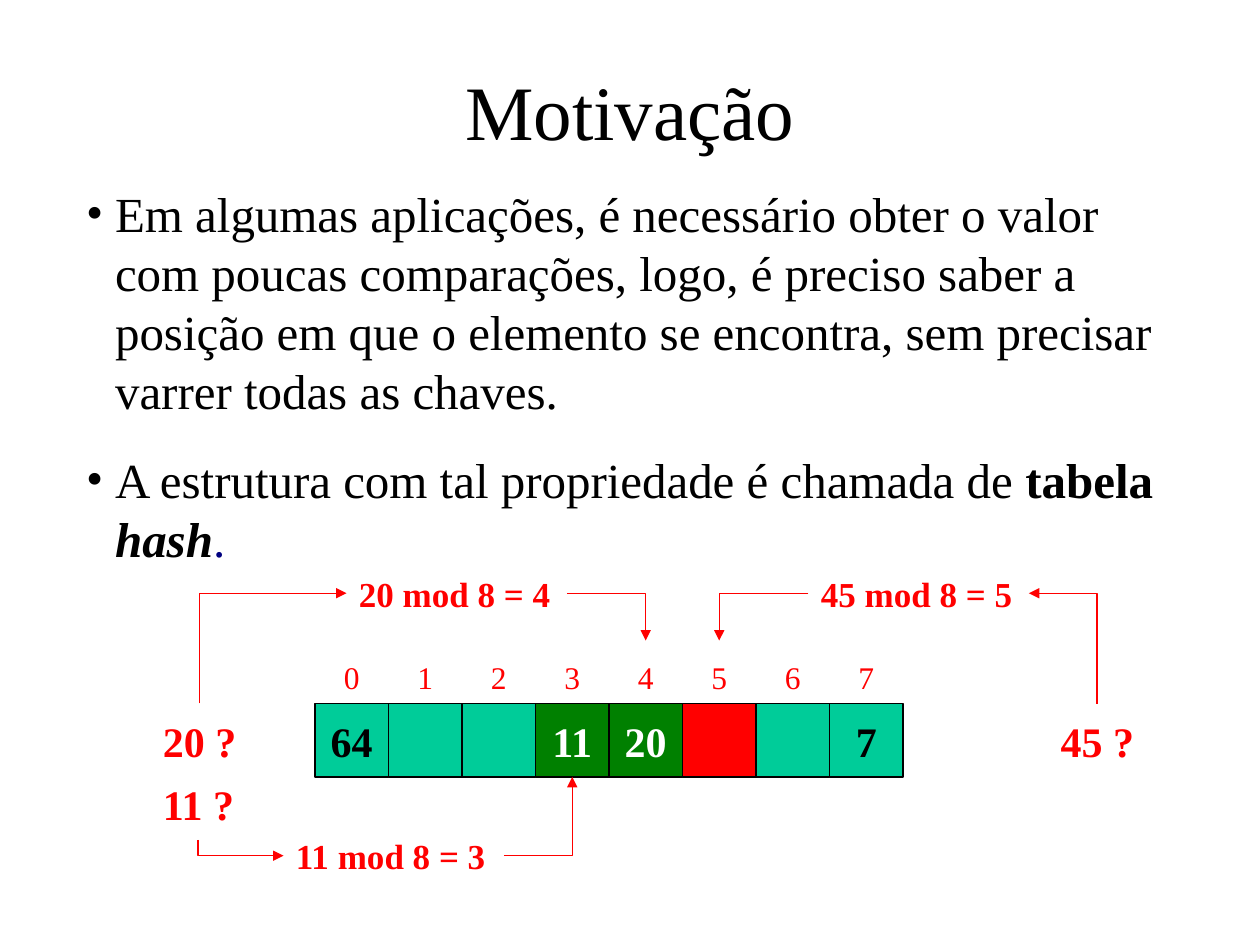
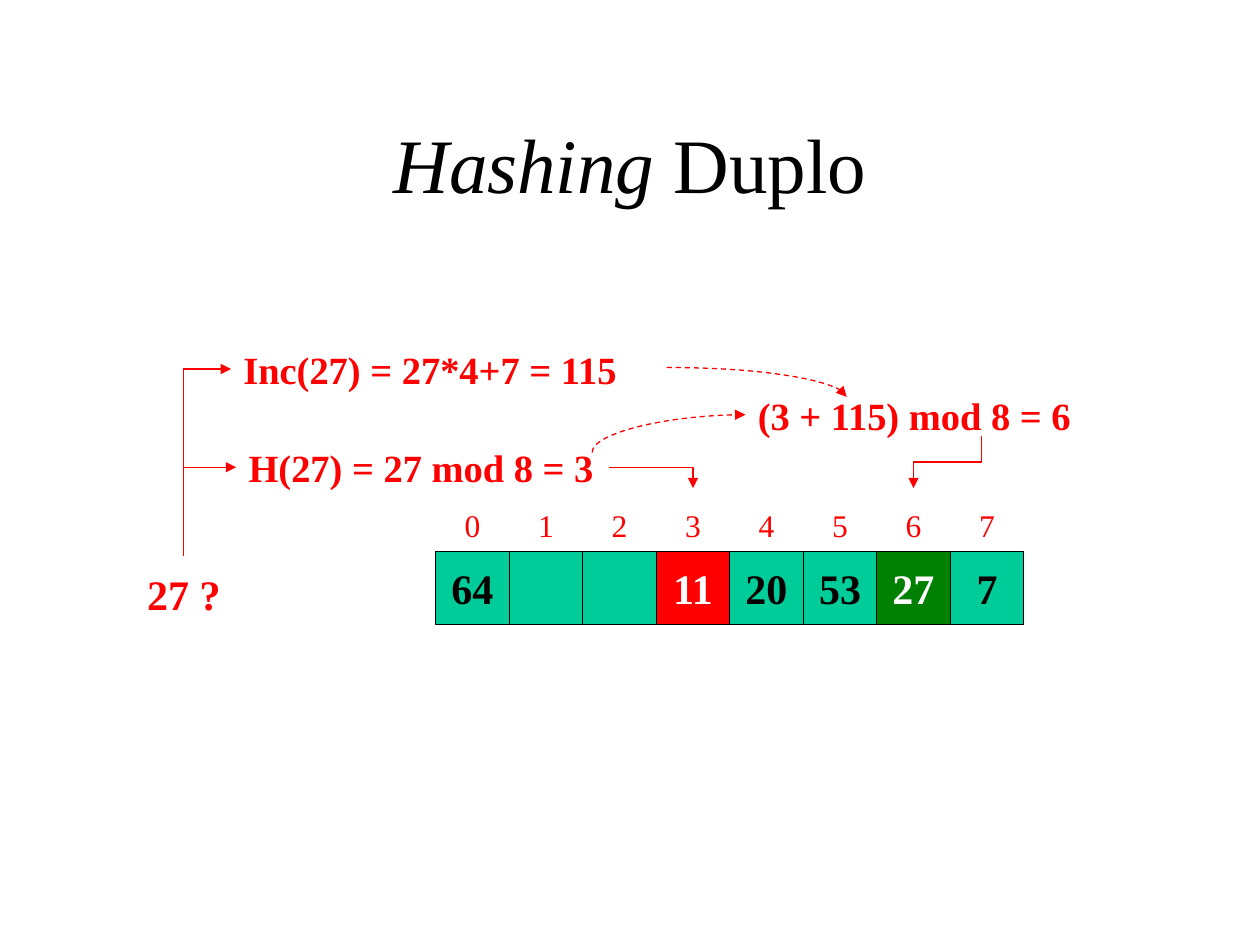
from lxml.etree import SubElement
from pptx import Presentation
from pptx.dml.color import RGBColor
from pptx.enum.dml import MSO_LINE
from pptx.enum.shapes import MSO_CONNECTOR, MSO_SHAPE
from pptx.enum.text import MSO_ANCHOR, MSO_AUTO_SIZE, PP_ALIGN
from pptx.oxml.ns import qn
from pptx.util import Inches, Pt

FONT = "Times New Roman"
COLORS = {"black": "000000", "white": "FFFFFF", "red": "FF0000",
          "free": "00CC99", "found": "008000", "navy": "000080"}

deck = Presentation()
deck.slide_width, deck.slide_height = Inches(10), Inches(7.5)

# Grid of 240 columns by 180 rows; a hash table cell is 14 units wide
UNIT = deck.slide_width / 240
CELL = 14


def write(para, text, size=28, color="black", bold=False, italic=False, align=None):
    """Add a formatted span to a paragraph."""
    if align is not None:
        para.alignment = align
    span = para.add_run()
    span.text = text
    span.font.name, span.font.size = FONT, Pt(size)
    span.font.bold, span.font.italic = bold, italic
    span.font.color.rgb = RGBColor.from_string(COLORS[color])


def draw_arrow(page, start, end, preset="bentConnector2", vertical=False, dashed=False):
    """Join two grid points; a vertical start is a quarter turn of a horizontal one."""
    (x1, y1), (x2, y2) = start, end
    if vertical:
        middle_x, middle_y = (x1 + x2) / 2, (y1 + y2) / 2
        half_x, half_y = (y2 - y1) / 2, (x1 - x2) / 2
        x1, x2 = middle_x - half_x, middle_x + half_x
        y1, y2 = middle_y - half_y, middle_y + half_y
    arrow = page.shapes.add_connector(
        MSO_CONNECTOR.ELBOW, *(round(value * UNIT) for value in (x1, y1, x2, y2)))
    arrow.line.color.rgb = RGBColor.from_string(COLORS["red"])
    arrow.line.width = Pt(0.75)
    if dashed:
        arrow.line.dash_style = MSO_LINE.DASH
    properties = arrow._element.spPr
    properties.find(qn("a:prstGeom")).set("prst", preset)
    if vertical:
        properties.find(qn("a:xfrm")).set("rot", str(90 * 60000))
    SubElement(properties.find(qn("a:ln")), qn("a:tailEnd"), type="triangle")
    SubElement(properties, qn("a:effectLst"))


# Content: labels are (text, column, row, width, size), all 14 rows high
pages = [
    {"layout": 1, "title": [("Motivação", False)], "title_row": 6,
     "table": (60, 134),
     "cells": ["64", "", "", "11", "20", "", "", "7"],
     "marked": {3: "found", 4: "found", 5: "red"},
     "labels": [("20 ?", 29, 134, 18, 24), ("45 ?", 200, 134, 18, 24),
                ("11 ?", 28.8, 146, 18, 24), ("20 mod 8 = 4", 66, 106, 42, 20),
                ("45 mod 8 = 5", 154, 106, 42, 20), ("11 mod 8 = 3", 54, 156, 42, 20)],
     "arrows": [dict(start=(108, 113), end=(123, 122)),
                dict(start=(38, 134), end=(66, 113), vertical=True),
                dict(start=(209, 134), end=(196, 113), vertical=True),
                dict(start=(154, 113), end=(137, 122)),
                dict(start=(96, 163), end=(109, 148)),
                dict(start=(37.7, 160), end=(54, 163), vertical=True)]},
    {"layout": 5, "title": [("Hashing", True), (" Duplo", False)], "title_row": 16,
     "table": (83, 105),
     "cells": ["64", "", "", "11", "20", "53", "27", "7"],
     "marked": {3: "red", 6: "found"},
     "labels": [("27 ?", 26, 106, 18, 24), ("H(27) = 27 mod 8 = 3", 45, 82, 71, 22),
                ("Inc(27) = 27*4+7 = 115", 44, 63.4, 76.4, 22),
                ("(3 + 115) mod 8 = 6", 142, 72, 64, 22)],
     "arrows": [dict(start=(35, 106), end=(45, 89), vertical=True),
                dict(start=(116, 89), end=(132, 93)),
                dict(start=(187, 83), end=(174, 93), preset="bentConnector3", vertical=True),
                dict(start=(35, 106), end=(44, 70.3), vertical=True),
                dict(start=(112.8, 86.2), end=(142, 79), preset="curvedConnector2",
                     vertical=True, dashed=True),
                dict(start=(127, 70), end=(161.3, 75.6), preset="curvedConnector2",
                     dashed=True)]},
]

bullets = [
    [("Em algumas aplicações, é necessário obter o valor com poucas comparações, logo, "
      "é preciso saber a posição em que o elemento se encontra, sem precisar varrer "
      "todas as chaves.", {})],
    [("A estrutura com tal propriedade é chamada de ", {}), ("tabela ", {"bold": True}),
     ("hash", {"bold": True, "italic": True}), (".", {"color": "navy"})],
]

for content in pages:
    page = deck.slides.add_slide(deck.slide_layouts[content["layout"]])

    # Title
    title = page.shapes.title
    title.left, title.top = round(18 * UNIT), round(content["title_row"] * UNIT)
    title.width, title.height = round(204 * UNIT), round(29.8 * UNIT)
    title.text_frame.vertical_anchor = MSO_ANCHOR.MIDDLE
    title.text_frame.auto_size = MSO_AUTO_SIZE.NONE
    for text, italic in content["title"]:
        write(title.text_frame.paragraphs[0], text, size=44, italic=italic,
              align=PP_ALIGN.CENTER)

    # Hash table: index above each cell
    left, top = content["table"]
    labels = list(content["labels"])
    for index, value in enumerate(content["cells"]):
        column = left + index * CELL
        labels.append((str(index), column, top - 12, CELL, 18))
        cell = page.shapes.add_shape(
            MSO_SHAPE.RECTANGLE, round(column * UNIT), round(top * UNIT),
            round(CELL * UNIT), round(CELL * UNIT))
        cell.shadow.inherit = False
        cell.fill.solid()
        cell.fill.fore_color.rgb = RGBColor.from_string(
            COLORS[content["marked"].get(index, "free")])
        cell.line.color.rgb = RGBColor.from_string(COLORS["black"])
        cell.line.width = Pt(0.75)
        if value:
            cell.text_frame.word_wrap = False
            cell.text_frame.vertical_anchor = MSO_ANCHOR.MIDDLE
            write(cell.text_frame.paragraphs[0], value, size=24, bold=True,
                  color="white" if index in content["marked"] else "black",
                  align=PP_ALIGN.CENTER)

    # Keys and indexes are centred, formulas are left aligned
    for text, column, row, width, size in labels:
        is_formula = "=" in text
        box = page.shapes.add_textbox(round(column * UNIT), round(row * UNIT),
                                      round(width * UNIT), round(CELL * UNIT))
        box.text_frame.word_wrap = False
        box.text_frame.vertical_anchor = MSO_ANCHOR.MIDDLE
        box.text_frame.margin_left = Inches(0.1 if is_formula else 0)
        box.text_frame.margin_right = 0
        write(box.text_frame.paragraphs[0], text, size=size, color="red", bold=size != 18,
              align=PP_ALIGN.LEFT if is_formula else PP_ALIGN.CENTER)

    for arrow in content["arrows"]:
        draw_arrow(page, **arrow)

# Bulleted text of the first page
body = deck.slides[0].placeholders[1]
body.left, body.top = round(14 * UNIT), round(33.8 * UNIT)
body.width, body.height = round(212 * UNIT), round(75.6 * UNIT)
body.text_frame.auto_size = MSO_AUTO_SIZE.NONE
body.text_frame.vertical_anchor = MSO_ANCHOR.TOP
for number, spans in enumerate(bullets):
    para = body.text_frame.add_paragraph() if number else body.text_frame.paragraphs[0]
    para.space_before, para.line_spacing = Pt(17.5), 1.0
    for text, style in spans:
        write(para, text, **style)
    settings = para._p.get_or_add_pPr()
    settings.set("marL", str(Inches(0.23)))
    settings.set("indent", str(-Inches(0.23)))
    SubElement(SubElement(settings, qn("a:buClr")), qn("a:srgbClr"), val=COLORS["black"])
    SubElement(settings, qn("a:buFont"), typeface=FONT)
    SubElement(settings, qn("a:buChar"), char="•")

deck.save("out.pptx")
